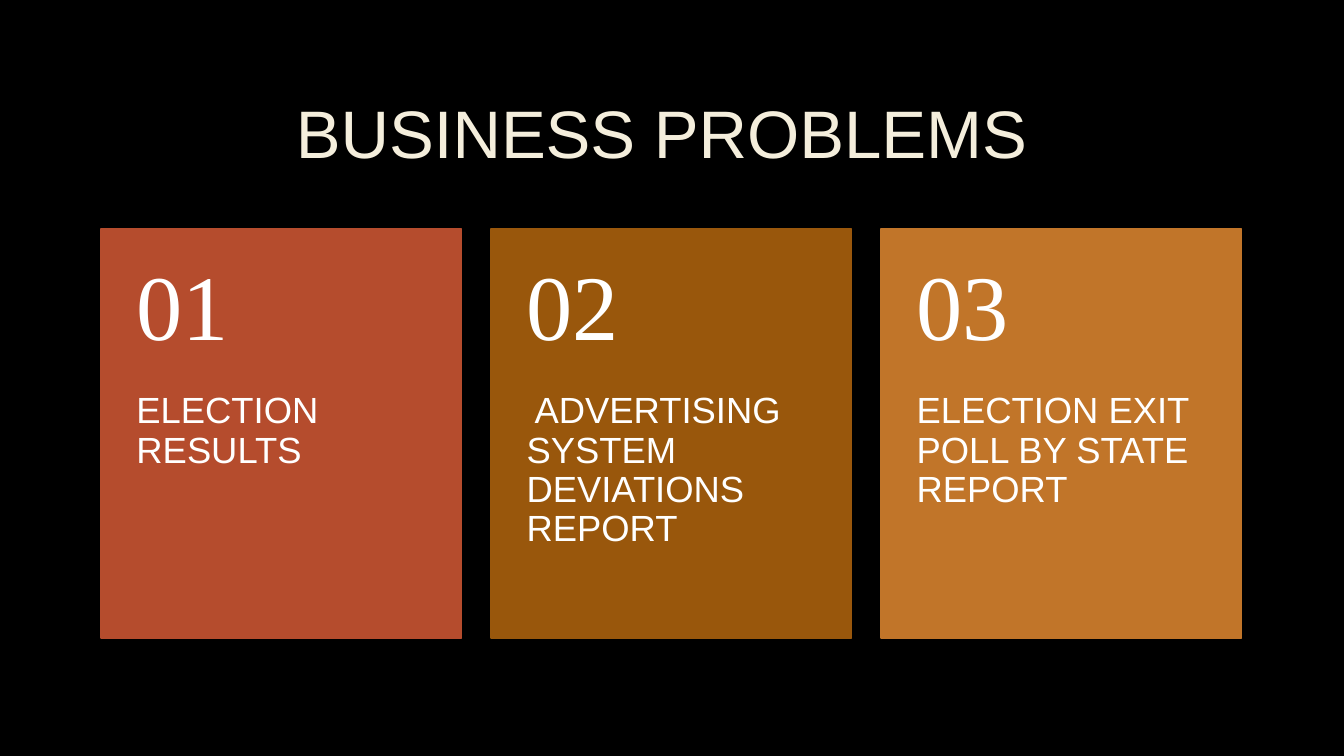
from pptx import Presentation
from pptx.dml.color import RGBColor
from pptx.enum.shapes import MSO_SHAPE as Shape
from pptx.enum.text import MSO_ANCHOR as Anchor, PP_ALIGN as Align
from pptx.util import Cm, Pt

LEFT, CARD_TOP = 2.54, 5.77
CARD_WIDTH, CARD_HEIGHT, CARD_STEP = 9.09, 10.31, 9.83
NUMBER_HEIGHT = 4.12
CARDS = [
    ("B54C2D", "ELECTION RESULTS"),
    ("99570C", " ADVERTISING SYSTEM DEVIATIONS REPORT"),
    ("C17529", "ELECTION EXIT POLL BY STATE REPORT"),
]
TITLE = {"name": "Arial", "size": Pt(48)}
NUMBER = {"name": "Times New Roman", "size": Pt(66)}
LABEL = {"name": "Arial", "size": Pt(26)}


def color(hex_code):
    """Turn a hex string into a colour."""
    return RGBColor.from_string(hex_code)


def apply(target, values):
    """Set each attribute named in values on the target."""
    for name, value in values.items():
        setattr(target, name, value)


def add_text(slide, box, text, font, hex_code, anchor, align, insets):
    """Add a wrapped text box with one paragraph."""
    frame = slide.shapes.add_textbox(*map(Cm, box)).text_frame
    sides = ("margin_left", "margin_top", "margin_right", "margin_bottom")
    apply(frame, dict(zip(sides, map(Cm, insets))))
    apply(frame, {"word_wrap": True, "vertical_anchor": anchor})
    paragraph = frame.paragraphs[0]
    apply(paragraph, {"alignment": align, "line_spacing": 0.9})
    run = paragraph.add_run()
    run.text = text
    apply(run.font, font)
    run.font.color.rgb = color(hex_code)


def add_panel(slide, box, hex_code):
    """Add a plain rectangle filled and outlined in one colour."""
    shape = slide.shapes.add_shape(Shape.RECTANGLE, *map(Cm, box))
    shape.shadow.inherit = False
    for fill in (shape.fill, shape.line.fill):
        fill.solid()
        fill.fore_color.rgb = color(hex_code)
    shape.line.width = Pt(1.25)


def add_card(slide, index, hex_code, label):
    """Add a coloured card with its number above its label."""
    left = LEFT + index * CARD_STEP
    add_panel(slide, (left, CARD_TOP, CARD_WIDTH, CARD_HEIGHT), hex_code)
    label_box = (left, CARD_TOP + NUMBER_HEIGHT, CARD_WIDTH, CARD_HEIGHT - NUMBER_HEIGHT)
    add_text(slide, label_box, label, LABEL, "FFFFFF",
             Anchor.TOP, Align.LEFT, (0.9, 0, 0.9, 0.9))
    number_box = (left, CARD_TOP, CARD_WIDTH, NUMBER_HEIGHT)
    add_text(slide, number_box, f"{index + 1:02}", NUMBER, "FFFFFF",
             Anchor.MIDDLE, Align.LEFT, (0.9, 0.45, 0.9, 0.45))


def main():
    """Build the slide and save it."""
    presentation = Presentation()
    apply(presentation, {"slide_width": Cm(33.87), "slide_height": Cm(19.05)})
    slide = presentation.slides.add_slide(presentation.slide_layouts[6])
    background = slide.background.fill
    background.solid()
    background.fore_color.rgb = color("000000")
    add_text(slide, (LEFT, 1.7, 28.75, 3.5), "BUSINESS PROBLEMS ", TITLE, "F4EEDC",
             Anchor.MIDDLE, Align.CENTER, (0.25, 0.13, 0.25, 0.13))
    for index, (hex_code, label) in enumerate(CARDS):
        add_card(slide, index, hex_code, label)
    presentation.save("out.pptx")


if __name__ == "__main__":
    main()
